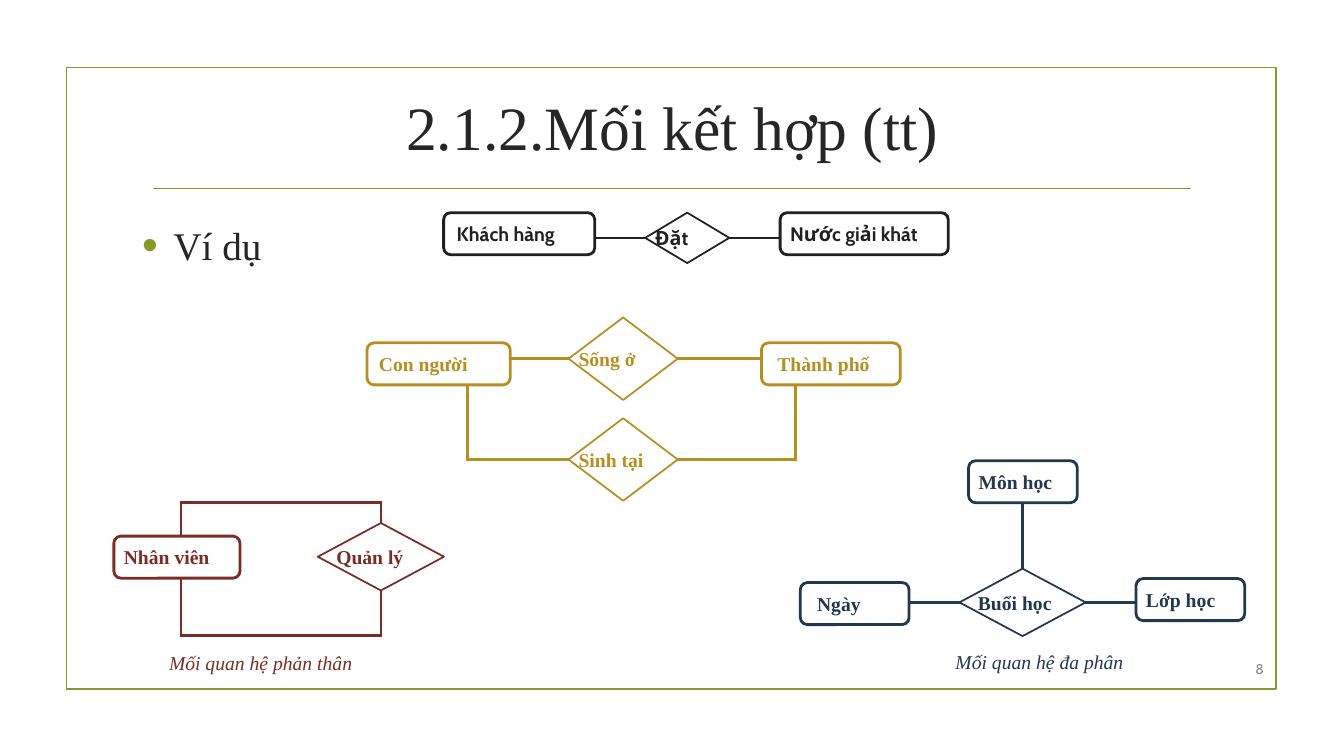
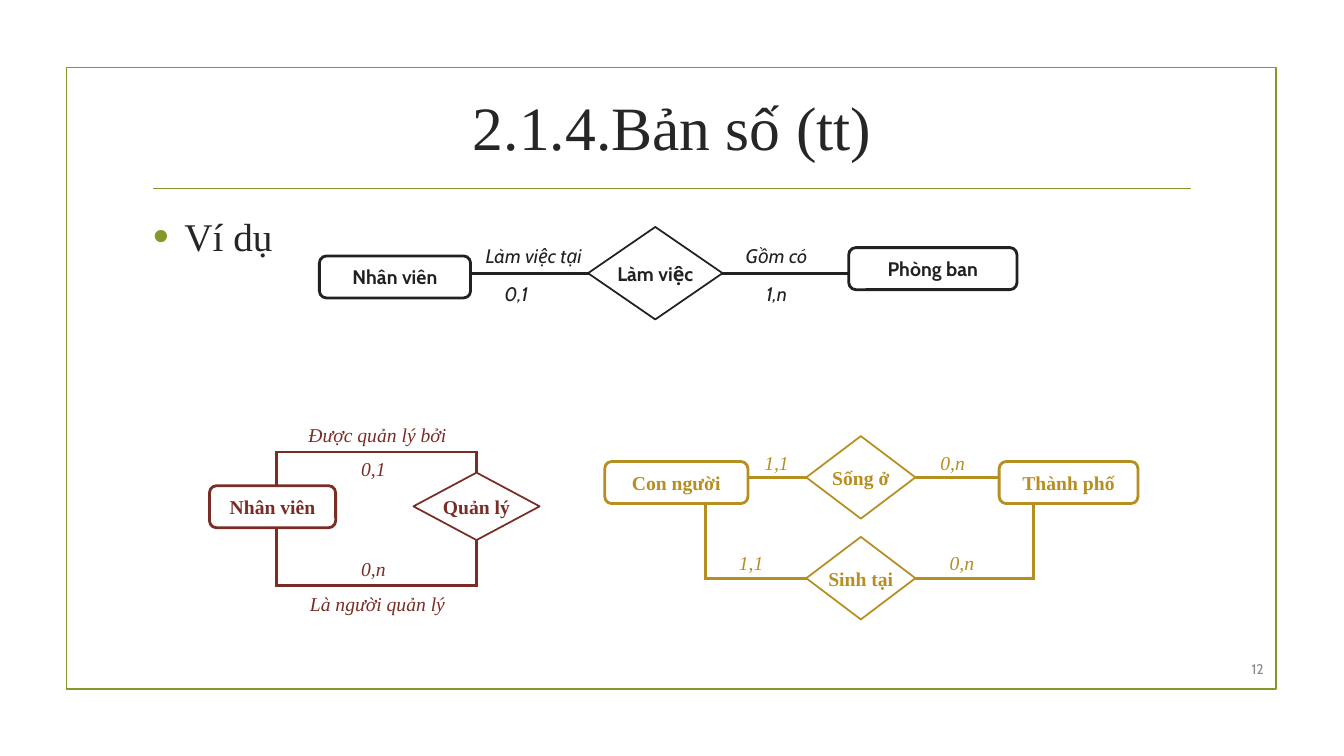
from dataclasses import dataclass
from itertools import pairwise
from typing import Any

from lxml import etree
from pptx import Presentation
from pptx.dml.color import RGBColor
from pptx.enum.shapes import MSO_CONNECTOR, MSO_SHAPE
from pptx.enum.text import MSO_ANCHOR, PP_ALIGN
from pptx.oxml.ns import qn
from pptx.util import Cm, Pt

ROUND = MSO_SHAPE.ROUNDED_RECTANGLE
DIAMOND = MSO_SHAPE.DIAMOND
RECT = MSO_SHAPE.RECTANGLE
STRAIGHT = MSO_CONNECTOR.STRAIGHT
TOP, MIDDLE = MSO_ANCHOR.TOP, MSO_ANCHOR.MIDDLE
LEFT, CENTER, RIGHT = PP_ALIGN.LEFT, PP_ALIGN.CENTER, PP_ALIGN.RIGHT


@dataclass(frozen=True)
class Theme:
    serif: str = "Times New Roman"
    sans: str = "Cabin"
    white: str = "FFFFFF"
    green: str = "83992A"
    ink: str = "262626"
    grey: str = "898989"
    black: str = "212121"
    red: str = "7A2D26"
    gold: str = "B78E20"
    navy: str = "22384E"
    title: int = 44
    body: int = 28
    label: int = 14
    small: int = 10
    thick: float = 2
    thin: float = 1.25
    high: float = 1.06


THEME = Theme()


@dataclass(frozen=True)
class Pen:
    slide: Any
    color: str
    font: str = THEME.serif
    align: Any = LEFT


def write(pen, frame, text, size, bold=False, slant=False):
    frame.word_wrap = True
    para = frame.paragraphs[0]
    para.text = text
    para.alignment = pen.align
    font = para.runs[0].font
    font.name, font.size = pen.font, Pt(size)
    font.bold, font.italic = bold, slant
    font.color.rgb = RGBColor.from_string(pen.color)
    return para


def label(pen, text, x, y, w, h=0.86, size=THEME.label, anchor=TOP, **style):
    box = pen.slide.shapes.add_textbox(Cm(x), Cm(y), Cm(w), Cm(h))
    box.text_frame.vertical_anchor = anchor
    return write(pen, box.text_frame, text, size, **style)


def note(pen, text, x, y, w=1.9):
    label(pen, text, x, y, w, slant=True)


def shape(pen, kind, x, y, w, h, width):
    form = pen.slide.shapes.add_shape(kind, Cm(x), Cm(y), Cm(w), Cm(h))
    form.shadow.inherit = False
    form.fill.solid()
    form.fill.fore_color.rgb = RGBColor.from_string(THEME.white)
    form.line.color.rgb = RGBColor.from_string(pen.color)
    form.line.width = Pt(width)
    return form


def box(pen, text, x, y, w, pad=0):
    form = shape(pen, ROUND, x, y, w, THEME.high, THEME.thick)
    form.adjustments[0] = 0.167
    frame = form.text_frame
    frame.vertical_anchor = MIDDLE
    inset = pad if pen.align == LEFT else 0
    frame.margin_left, frame.margin_right = Cm(0.2 + inset), Cm(0.2)
    frame.margin_top = frame.margin_bottom = 0
    write(pen, frame, text, THEME.label, bold=True)


def rhomb(pen, text, x, y, w, h):
    shape(pen, DIAMOND, x, y, w, h, THEME.thin)
    wide = min(w, 2.75)
    label(pen, text, x + (w - wide) / 2, y, wide, h, anchor=MIDDLE, bold=True)


def route(pen, *points, width=THEME.thick):
    for (x1, y1), (x2, y2) in pairwise(points):
        line = pen.slide.shapes.add_connector(
            STRAIGHT, Cm(x1), Cm(y1), Cm(x2), Cm(y2))
        line.line.color.rgb = RGBColor.from_string(pen.color)
        line.line.width = Pt(width)
        props = line._element.spPr
        props.find(qn("a:ln")).set("cap", "sq")
        etree.SubElement(props, qn("a:effectLst"))


def chain(pen, first, link, last):
    x, y, w, h = link[1:]
    mid = y + h / 2
    route(pen, (first[1] + first[3], mid), (x, mid))
    route(pen, (x + w, mid), (last[1], mid))
    box(pen, *first)
    rhomb(pen, *link)
    box(pen, *last)


def loop(pen, x, y):
    near, far = x + 1.69, x + 6.73
    top, base = y - 0.85, y + 2.51
    route(pen, (near, y), (near, top), (far, top), (far, y - 0.33))
    route(pen, (near, y + THEME.high), (near, base), (far, base),
          (far, y + 1.37))
    box(pen, "Nhân viên", x, y, 3.18)
    rhomb(pen, "Quản lý", x + 5.14, y - 0.33, 3.18, 1.7)


def city(pen, x, y):
    start, end, base = x + 5.08, x + 7.83, y + 2.94
    chain(pen, ("Con người", x, y, 3.61, 0.05),
          ("Sống ở", start, y - 0.64, 2.75, 2.08),
          ("Thành phố", x + 9.94, y, 3.5, 0.15))
    foot = y + THEME.high
    route(pen, (x + 2.54, foot), (x + 2.54, base), (start, base))
    route(pen, (x + 10.8, foot), (x + 10.8, base), (end, base))
    rhomb(pen, "Sinh tại", start, y + 1.9, 2.75, 2.08)


def bullet(pen, text, x, y):
    para = label(pen, text, x, y, 5, 1.7, size=THEME.body)
    props = para._p.get_or_add_pPr()
    props.set("marL", str(Cm(0.79)))
    props.set("indent", str(-Cm(0.79)))
    tint = etree.SubElement(props, qn("a:buClr"))
    etree.SubElement(tint, qn("a:srgbClr")).set("val", THEME.green)
    etree.SubElement(props, qn("a:buSzPct")).set("val", "115000")
    etree.SubElement(props, qn("a:buFont")).set("typeface", "Arial")
    etree.SubElement(props, qn("a:buChar")).set("char", "•")


def base(deck, title, page, x, y):
    slide = deck.slides.add_slide(deck.slide_layouts[6])
    trim = Pen(slide, THEME.green)
    shape(trim, RECT, 1.68, 1.7, 30.48, 15.67, THEME.thin)
    route(trim, (3.89, 4.75), (30, 4.75), width=THEME.thin)
    label(Pen(slide, THEME.ink, align=CENTER), title, 3.61, 1.73, 26.67, 2.9,
          size=THEME.title, anchor=MIDDLE)
    bullet(Pen(slide, THEME.ink), "Ví dụ", x, y)
    label(Pen(slide, THEME.grey, THEME.sans, RIGHT), page, 30.6, 16.46, 1.5,
          0.79, size=THEME.small, anchor=MIDDLE)
    return slide


def links(deck):
    slide = base(deck, "2.1.2.Mối kết hợp (tt)", "8", 3.33, 5.46)
    chain(Pen(slide, THEME.black, THEME.sans),
          ("Khách hàng", 11.18, 5.36, 3.81, 0.08),
          ("Đặt", 16.26, 5.36, 2.12, 1.27),
          ("Nước giải khát", 19.66, 5.36, 4.24))
    city(Pen(slide, THEME.gold), 9.25, 8.64)
    red = Pen(slide, THEME.red)
    loop(red, 2.87, 13.51)
    note(red, "Mối quan hệ phản thân", 4.01, 16.28, 6.15)
    navy = Pen(slide, THEME.navy)
    route(navy, (25.77, 12.67), (25.77, 14.33))
    box(navy, "Môn học", 24.41, 11.61, 2.74)
    chain(navy, ("Ngày", 20.17, 14.68, 2.74, 0.17),
          ("Buổi học", 24.18, 14.33, 3.18, 1.7),
          ("Lớp học", 28.63, 14.58, 2.74))
    note(navy, "Mối quan hệ đa phân", 23.83, 16.26, 5.72)


def counts(deck):
    slide = base(deck, "2.1.4.Bản số (tt)", "12", 3.61, 5.23)
    black = Pen(slide, THEME.black, THEME.sans, CENTER)
    chain(black, ("Nhân viên", 8.05, 6.45, 3.81),
          ("Làm việc", 14.82, 5.72, 3.39, 2.33),
          ("Phòng ban", 21.39, 6.24, 4.24))
    note(black, "Làm việc tại", 11.86, 6.02, 3.18)
    note(black, "Gồm có", 17.98, 6.02, 3.18)
    note(black, "0,1", 12.06, 6.98)
    note(black, "1,n", 18.62, 6.98)
    red = Pen(slide, THEME.red, align=CENTER)
    loop(red, 5.28, 12.24)
    note(red, "Được quản lý bởi", 7.19, 10.54, 4.65)
    note(red, "0,1", 8.46, 11.38)
    note(red, "0,n", 8.46, 13.92)
    note(red, "Là người quản lý", 7.19, 14.78, 4.65)
    gold = Pen(slide, THEME.gold, align=CENTER)
    city(gold, 15.24, 11.63)
    for text, x, y in (("1,1", 18.62, 11.23), ("0,n", 23.06, 11.23),
                       ("1,1", 17.98, 13.77), ("0,n", 23.29, 13.77)):
        note(gold, text, x, y)


def main():
    deck = Presentation()
    deck.slide_width, deck.slide_height = Cm(33.87), Cm(19.05)
    links(deck)
    counts(deck)
    deck.save("out.pptx")


if __name__ == "__main__":
    main()
